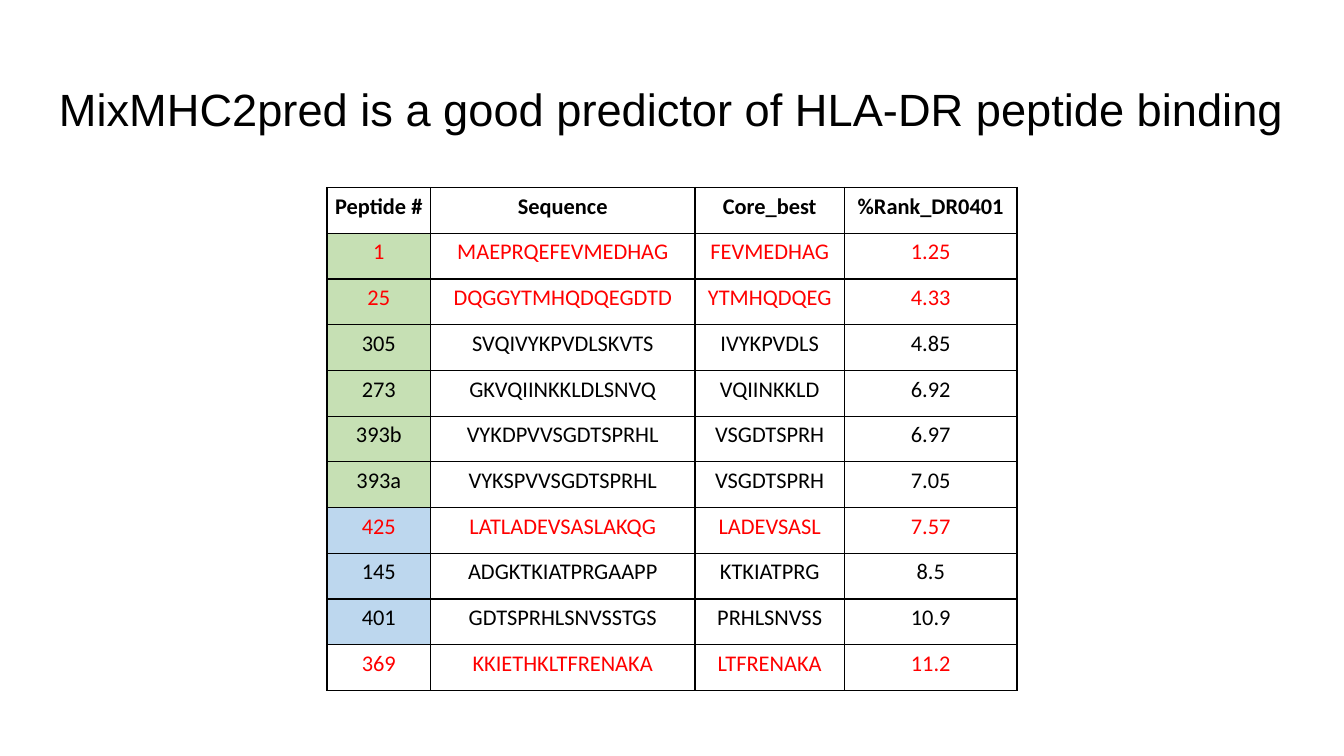
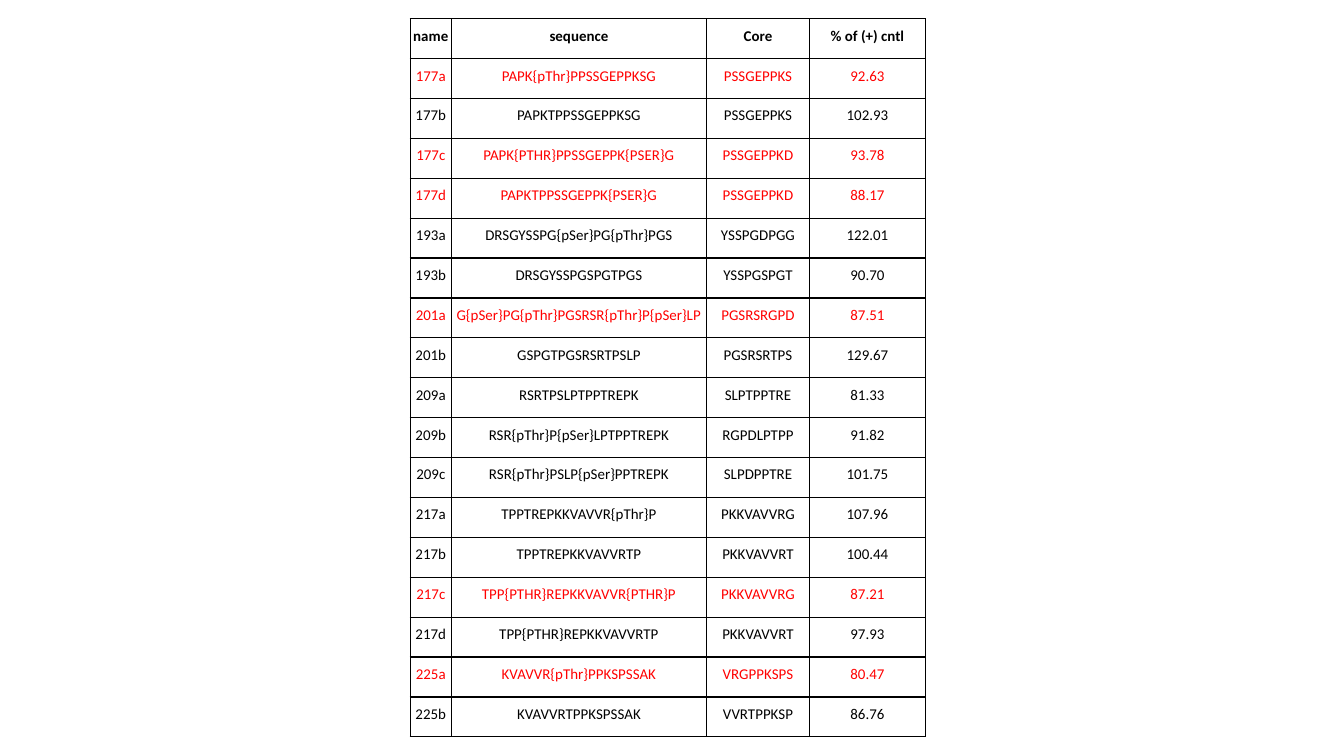
from dataclasses import dataclass

from lxml import etree
from pptx import Presentation
from pptx.dml.color import RGBColor
from pptx.enum.text import MSO_ANCHOR, PP_ALIGN
from pptx.oxml.ns import qn
from pptx.util import Pt

CENTER = PP_ALIGN.CENTER
LEFT = PP_ALIGN.LEFT
BOTTOM = MSO_ANCHOR.BOTTOM
MIDDLE = MSO_ANCHOR.MIDDLE

TITLE = "MixMHC2pred is a good predictor of HLA-DR peptide binding"

RANK_HEAD = ("Peptide #", "Sequence", "Core_best", "%Rank_DR0401")
RANK_ROWS = [
    ("1", "MAEPRQEFEVMEDHAG", "FEVMEDHAG", "1.25"),
    ("25", "DQGGYTMHQDQEGDTD", "YTMHQDQEG", "4.33"),
    ("305", "SVQIVYKPVDLSKVTS", "IVYKPVDLS", "4.85"),
    ("273", "GKVQIINKKLDLSNVQ", "VQIINKKLD", "6.92"),
    ("393b", "VYKDPVVSGDTSPRHL", "VSGDTSPRH", "6.97"),
    ("393a", "VYKSPVVSGDTSPRHL", "VSGDTSPRH", "7.05"),
    ("425", "LATLADEVSASLAKQG", "LADEVSASL", "7.57"),
    ("145", "ADGKTKIATPRGAAPP", "KTKIATPRG", "8.5"),
    ("401", "GDTSPRHLSNVSSTGS", "PRHLSNVSS", "10.9"),
    ("369", "KKIETHKLTFRENAKA", "LTFRENAKA", "11.2"),
]
RANK_RED = {"1", "25", "425", "369"}
RANK_GREEN = {"1", "25", "305", "273", "393b", "393a"}
RANK_BLUE = {"425", "145", "401"}

BINDING_HEAD = ("name", "sequence", "Core", "% of (+) cntl")
BINDING_ROWS = [
    ("177a", "PAPK{pThr}PPSSGEPPKSG", "PSSGEPPKS", "92.63"),
    ("177b", "PAPKTPPSSGEPPKSG", "PSSGEPPKS", "102.93"),
    ("177c", "PAPK{PTHR}PPSSGEPPK{PSER}G", "PSSGEPPKD", "93.78"),
    ("177d", "PAPKTPPSSGEPPK{PSER}G", "PSSGEPPKD", "88.17"),
    ("193a", "DRSGYSSPG{pSer}PG{pThr}PGS", "YSSPGDPGG", "122.01"),
    ("193b", "DRSGYSSPGSPGTPGS", "YSSPGSPGT", "90.70"),
    ("201a", "G{pSer}PG{pThr}PGSRSR{pThr}P{pSer}LP", "PGSRSRGPD", "87.51"),
    ("201b", "GSPGTPGSRSRTPSLP", "PGSRSRTPS", "129.67"),
    ("209a", "RSRTPSLPTPPTREPK", "SLPTPPTRE", "81.33"),
    ("209b", "RSR{pThr}P{pSer}LPTPPTREPK", "RGPDLPTPP", "91.82"),
    ("209c", "RSR{pThr}PSLP{pSer}PPTREPK", "SLPDPPTRE", "101.75"),
    ("217a", "TPPTREPKKVAVVR{pThr}P", "PKKVAVVRG", "107.96"),
    ("217b", "TPPTREPKKVAVVRTP", "PKKVAVVRT", "100.44"),
    ("217c", "TPP{PTHR}REPKKVAVVR{PTHR}P", "PKKVAVVRG", "87.21"),
    ("217d", "TPP{PTHR}REPKKVAVVRTP", "PKKVAVVRT", "97.93"),
    ("225a", "KVAVVR{pThr}PPKSPSSAK", "VRGPPKSPS", "80.47"),
    ("225b", "KVAVVRTPPKSPSSAK", "VVRTPPKSP", "86.76"),
]
BINDING_RED = {"177a", "177c", "177d", "201a", "217c", "225a"}


@dataclass(frozen=True)
class Theme:
    black: str = "000000"
    red: str = "FF0000"
    green: str = "C6E0B4"
    blue: str = "BDD7EE"
    white: str = "FFFFFF"
    title_font: str = "Arial"
    table_font: str = "Calibri"
    title_size: float = 24.2
    rank_size: float = 12
    binding_size: float = 8
    border: float = 0.75
    loose: float = 1.15


THEME = Theme()


def add_run(p, text, font, size, color, bold=False):
    r = p.add_run()
    r.text = text
    r.font.name = font
    r.font.size = Pt(size)
    r.font.bold = bold
    r.font.color.rgb = RGBColor.from_string(color)


def add_slide(prs):
    s = prs.slides.add_slide(prs.slide_layouts[6])
    s.background.fill.solid()
    s.background.fill.fore_color.rgb = RGBColor.from_string(THEME.white)
    return s


def add_title(s, text):
    tf = s.shapes.add_textbox(Pt(24.5), Pt(35.3), Pt(671), Pt(45.4)).text_frame
    tf.word_wrap = True
    tf.vertical_anchor = MIDDLE
    tf.margin_left = tf.margin_right = tf.margin_top = tf.margin_bottom = Pt(7.2)
    p = tf.paragraphs[0]
    p.alignment = LEFT
    add_run(p, text, THEME.title_font, THEME.title_size, THEME.black)


def set_borders(cell):
    tc_pr = cell._tc.get_or_add_tcPr()
    for side in ("a:lnL", "a:lnR", "a:lnT", "a:lnB"):
        ln = etree.SubElement(tc_pr, qn(side), w=str(Pt(THEME.border)))
        fill = etree.SubElement(ln, qn("a:solidFill"))
        etree.SubElement(fill, qn("a:srgbClr"), val=THEME.black)


def fill_cell(cell, text, size, color, bold, spacing, fill):
    cell.margin_left = cell.margin_right = cell.margin_top = Pt(0.72)
    cell.margin_bottom = Pt(7.2)
    cell.vertical_anchor = BOTTOM
    set_borders(cell)
    if fill:
        cell.fill.solid()
        cell.fill.fore_color.rgb = RGBColor.from_string(fill)
    else:
        cell.fill.background()
    p = cell.text_frame.paragraphs[0]
    p.alignment = CENTER
    p.line_spacing = spacing
    add_run(p, text, THEME.table_font, size, color, bold)


def add_peptide_table(s, left, top, widths, row_height, size, head, rows, red,
                      fills, is_loose):
    lines = [head, *rows]
    table = s.shapes.add_table(len(lines), len(widths), Pt(left), Pt(top),
                               Pt(sum(widths)), Pt(row_height * len(lines))).table
    table.first_row = table.horz_banding = False
    for col, width in zip(table.columns, widths):
        col.width = Pt(width)
    for i, line in enumerate(lines):
        table.rows[i].height = Pt(row_height)
        color = THEME.red if line[0] in red else THEME.black
        for j, text in enumerate(line):
            spacing = THEME.loose if is_loose(i, j) else 1.0
            fill = fills.get(text) if j == 0 else None
            fill_cell(table.cell(i, j), text, size, color, i == 0, spacing, fill)


def main():
    prs = Presentation()
    prs.slide_width = Pt(720)
    prs.slide_height = Pt(405)

    s = add_slide(prs)
    add_title(s, TITLE)
    fills = {**dict.fromkeys(RANK_GREEN, THEME.green),
             **dict.fromkeys(RANK_BLUE, THEME.blue)}
    add_peptide_table(s, 175.2, 100.5, (55.5, 141.7, 80, 92.5), 16,
                      THEME.rank_size, RANK_HEAD, RANK_ROWS, RANK_RED, fills,
                      lambda i, j: True)

    s = add_slide(prs)
    add_peptide_table(s, 219.8, 10, (22, 136.8, 55, 62.3), 21.38,
                      THEME.binding_size, BINDING_HEAD, BINDING_ROWS, BINDING_RED,
                      {}, lambda i, j: j == (3 if i else 0))

    prs.save("out.pptx")


if __name__ == "__main__":
    main()
